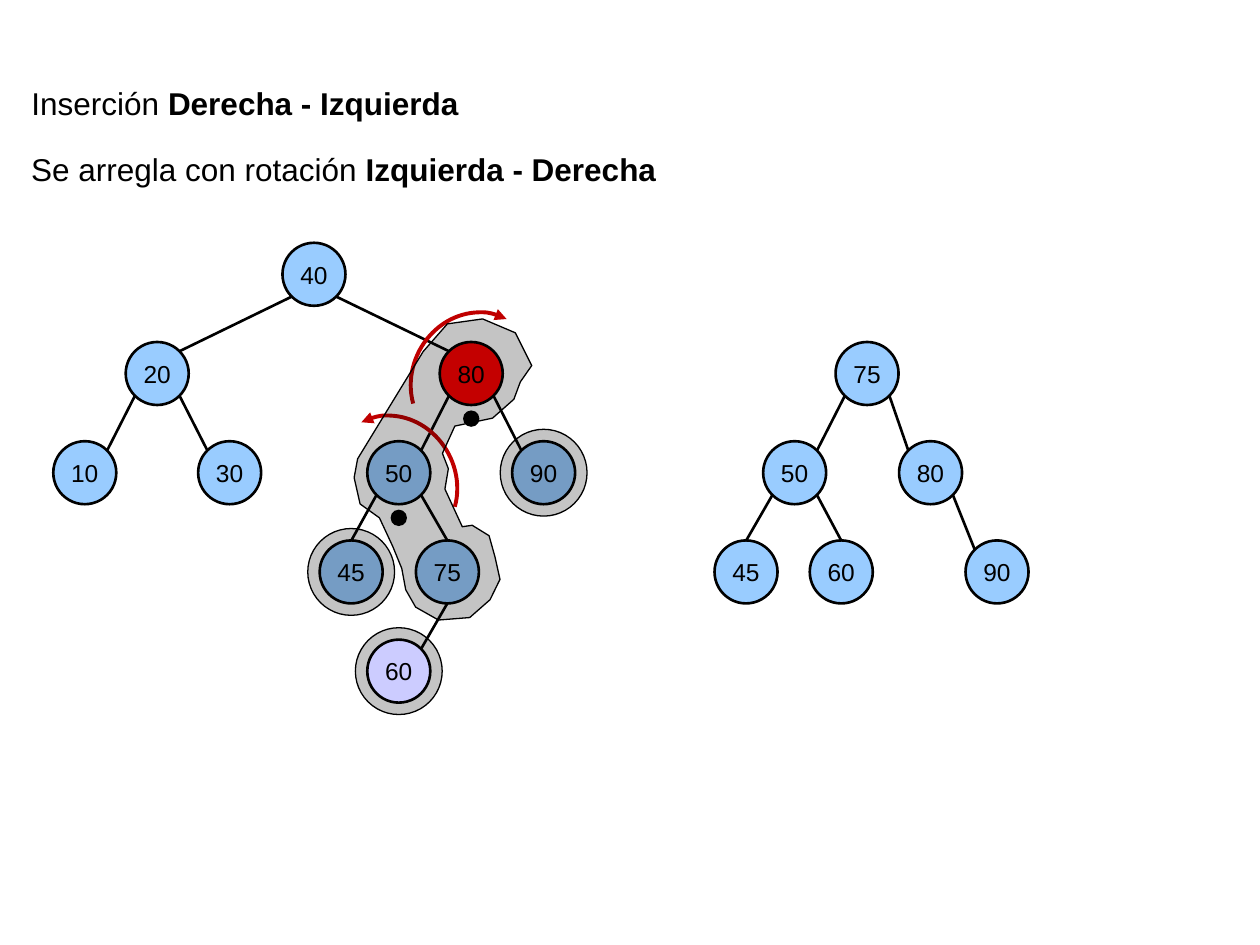
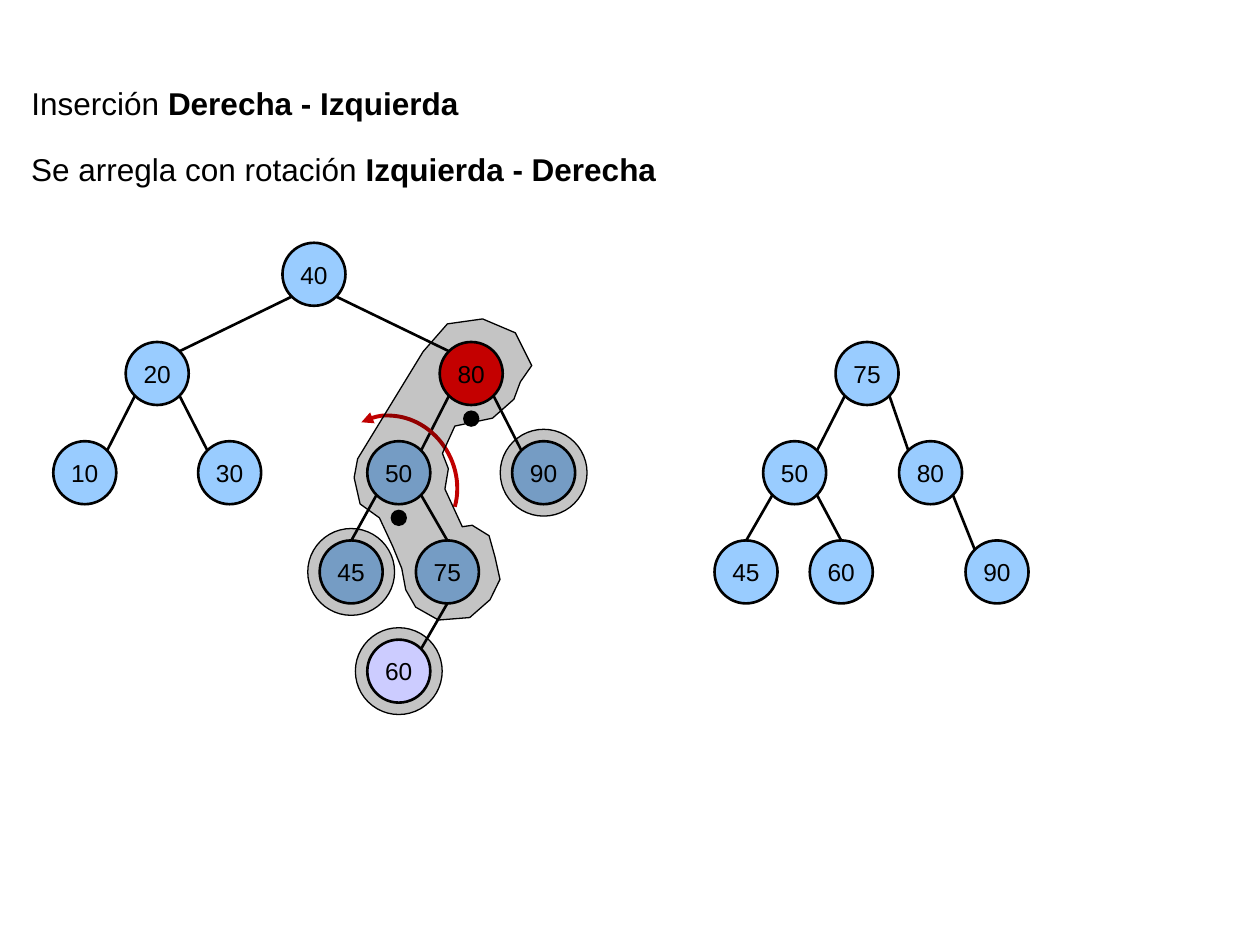
"""Builds two slides on the right-left insertion in an AVL tree and the rotation that repairs it."""
import pptx
import pptx.util
import pptx.dml.color
import pptx.enum.shapes
import pptx.enum.text
import pptx.oxml
import pptx.oxml.ns

Cm = pptx.util.Cm
Pt = pptx.util.Pt
RGB = pptx.dml.color.RGBColor.from_string
SHAPE = pptx.enum.shapes.MSO_SHAPE
ANCHOR = pptx.enum.text.MSO_ANCHOR
ALIGN = pptx.enum.text.PP_ALIGN
qn = pptx.oxml.ns.qn

COLORS = {"ink": "000000", "node": "99CCFF", "unbalanced": "FF0000", "new": "CCCCFF", "rotation": "C00000"}
FONT = "Arial"
NODE, HALO, DOT = 1.27, 1.75, 0.33
TOP, PITCH = 5.53, 2
CORNER, MIDDLE = (0.45, 0.45), (0, 0.63)

HEADINGS = [
    (1.57, 12, "Inserción ", "Derecha - Izquierda"),
    (2.9, 13.2, "Se arregla con rotación ", "Izquierda - Derecha"),
]
BEFORE = {
    "40": (6.33, 0, "node"),
    "20": (3.17, 1, "node"), "80": (9.5, 1, "unbalanced"),
    "10": (1.71, 2, "node"), "30": (4.63, 2, "node"), "50": (8.04, 2, "node"), "90": (10.96, 2, "node"),
    "45": (7.08, 3, "node"), "75": (9.02, 3, "node"),
    "60": (8.04, 4, "new"),
}
AFTER = {
    "75": (17.48, 1, "node"),
    "50": (16.02, 2, "node"), "80": (18.76, 2, "node"),
    "45": (15.04, 3, "node"), "60": (16.96, 3, "node"), "90": (20.1, 3, "node"),
}
BEFORE_EDGES = [
    ("40", "20", CORNER, CORNER), ("40", "80", CORNER, CORNER),
    ("20", "10", CORNER, CORNER), ("20", "30", CORNER, CORNER),
    ("80", "50", CORNER, CORNER), ("80", "90", CORNER, CORNER),
    ("50", "45", CORNER, MIDDLE), ("50", "75", CORNER, MIDDLE),
    ("75", "60", MIDDLE, CORNER),
]
AFTER_EDGES = [
    ("75", "50", CORNER, CORNER), ("75", "80", CORNER, CORNER),
    ("50", "45", CORNER, MIDDLE), ("50", "60", CORNER, MIDDLE),
    ("80", "90", CORNER, CORNER),
]
LEFT_TURN, RIGHT_TURN = (6.55, 8.48, 62.3, True), (8.18, 6.4, 297.7, False)
ROTATED_PATH = [
    (10.72, 7.37), (10.39, 6.71), (9.73, 6.43), (9.02, 6.53), (8.53, 7.09), (7.21, 9.25), (7.14, 9.63),
    (7.26, 10.16), (7.65, 10.44), (7.92, 11.02), (8.1, 11.46), (8.18, 11.89), (8.38, 12.24), (8.84, 12.5),
    (9.47, 12.45), (9.88, 12.09), (10.08, 11.68), (9.98, 11.23), (9.86, 10.8), (9.52, 10.59), (9.32, 10.62),
    (8.97, 9.86), (9.04, 9.45), (8.92, 9.14), (9.17, 8.59), (9.93, 8.43), (10.36, 8.05), (10.49, 7.7),
]


def shade(sp):
    sp.shadow.inherit = False
    sp.fill.solid()
    sp.fill.fore_color.rgb = RGB(COLORS["ink"])
    clr = sp._element.spPr.find(qn("a:solidFill"))[0]
    pptx.oxml.ns.nsdecls("a")
    clr.append(pptx.oxml.parse_xml('<a:alpha %s val="23000"/>' % pptx.oxml.ns.nsdecls("a")))
    sp.line.color.rgb = RGB(COLORS["ink"])
    sp.line.width = Pt(0.75)


def add_node(s, label, x, level, color):
    sp = s.shapes.add_shape(SHAPE.OVAL, Cm(x - NODE / 2), Cm(TOP + PITCH * level - NODE / 2), Cm(NODE), Cm(NODE))
    sp.shadow.inherit = False
    sp.fill.solid()
    sp.fill.fore_color.rgb = RGB(COLORS[color])
    sp.line.color.rgb = RGB(COLORS["ink"])
    sp.line.width = Pt(1.5)
    tf = sp.text_frame
    tf.margin_left = tf.margin_right = tf.margin_top = tf.margin_bottom = 0
    tf.word_wrap = False
    tf.vertical_anchor = ANCHOR.MIDDLE
    p = tf.paragraphs[0]
    p.alignment = ALIGN.CENTER
    r = p.add_run()
    r.text = label
    r.font.name = FONT
    r.font.size = Pt(14)
    r.font.color.rgb = RGB(COLORS["ink"])


prs = pptx.Presentation()
prs.slide_width, prs.slide_height = Cm(25.4), Cm(19.05)

for turns in [(LEFT_TURN, RIGHT_TURN), (LEFT_TURN,)]:
    s = prs.slides.add_slide(prs.slide_layouts[5])

    for i, (y, w, plain, strong) in enumerate(HEADINGS):
        sp = s.shapes.title if i == 0 else s.shapes.add_textbox(0, 0, 0, 0)
        sp.left, sp.top, sp.width, sp.height = Cm(0.38), Cm(y), Cm(w), Cm(1.02)
        tf = sp.text_frame
        tf.word_wrap = True
        tf.auto_size = pptx.enum.text.MSO_AUTO_SIZE.NONE
        tf.vertical_anchor = ANCHOR.TOP
        p = tf.paragraphs[0]
        p.alignment = ALIGN.LEFT
        for text, bold in [(plain, False), (strong, True)]:
            r = p.add_run()
            r.text = text
            r.font.name = FONT
            r.font.size = Pt(18)
            r.font.bold = bold
            r.font.color.rgb = RGB(COLORS["ink"])

    for nodes, edges in [(BEFORE, BEFORE_EDGES), (AFTER, AFTER_EDGES)]:
        for label, (x, level, color) in nodes.items():
            if color != "new":
                add_node(s, label, x, level, color)
        for parent, child, start, end in edges:
            x1, level1, _ = nodes[parent]
            x2, level2, _ = nodes[child]
            side = 1 if x2 > x1 else -1
            cxn = s.shapes.add_connector(
                pptx.enum.shapes.MSO_CONNECTOR.STRAIGHT,
                Cm(x1 + side * start[0]), Cm(TOP + PITCH * level1 + start[1]),
                Cm(x2 - side * end[0]), Cm(TOP + PITCH * level2 - end[1]))
            cxn.line.color.rgb = RGB(COLORS["ink"])
            cxn.line.width = Pt(1.5)
            cxn._element.spPr.append(pptx.oxml.parse_xml('<a:effectLst %s/>' % pptx.oxml.ns.nsdecls("a")))

    for pivot in ("80", "50"):
        x, level, _ = BEFORE[pivot]
        sp = s.shapes.add_shape(
            SHAPE.OVAL, Cm(x - DOT / 2), Cm(TOP + PITCH * level + 0.91 - DOT / 2), Cm(DOT), Cm(DOT))
        sp.shadow.inherit = False
        sp.fill.solid()
        sp.fill.fore_color.rgb = RGB(COLORS["ink"])
        sp.line.fill.background()

    for x, y, angle, flipped in turns:
        sp = s.shapes.add_shape(SHAPE.ARC, Cm(x), Cm(y), Cm(2.77), Cm(2.51))
        sp.shadow.inherit = False
        sp.adjustments[0], sp.adjustments[1] = 132.62, 0.13
        sp.rotation = angle
        if flipped:
            sp._element.spPr.find(qn("a:xfrm")).set("flipH", "1")
        sp.fill.background()
        sp.line.color.rgb = RGB(COLORS["rotation"])
        sp.line.width = Pt(2.25)
        ln = sp._element.spPr.find(qn("a:ln"))
        ln.append(pptx.oxml.parse_xml('<a:tailEnd %s type="triangle"/>' % pptx.oxml.ns.nsdecls("a")))

    points = [(Cm(x), Cm(y)) for x, y in ROTATED_PATH]
    builder = s.shapes.build_freeform(*points[0])
    builder.add_line_segments(points[1:], close=True)
    shade(builder.convert_to_shape())

    for subtree in ("45", "90", "60"):
        x, level, _ = BEFORE[subtree]
        shade(s.shapes.add_shape(
            SHAPE.OVAL, Cm(x - HALO / 2), Cm(TOP + PITCH * level - HALO / 2), Cm(HALO), Cm(HALO)))

    add_node(s, "60", *BEFORE["60"])

prs.save("out.pptx")
